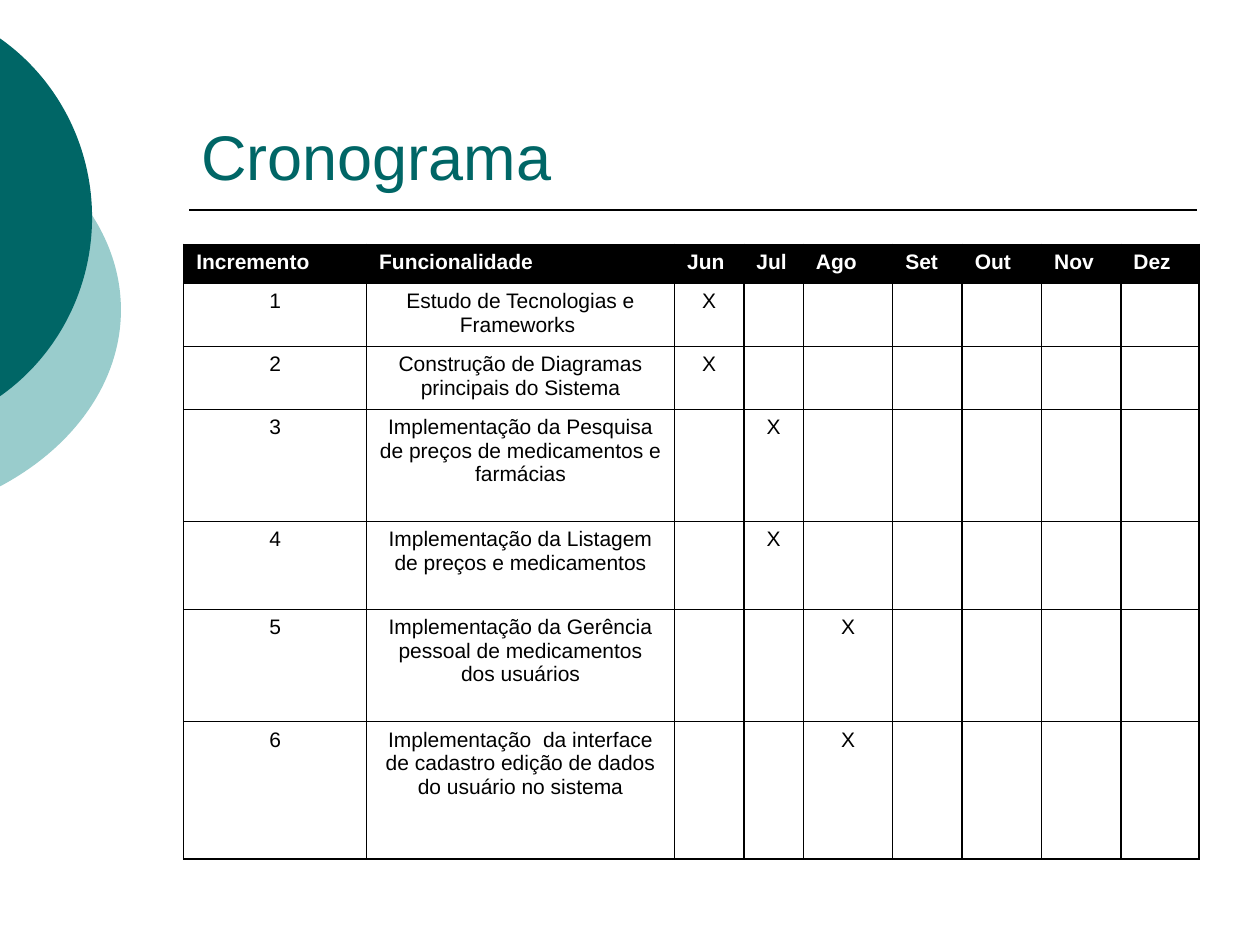
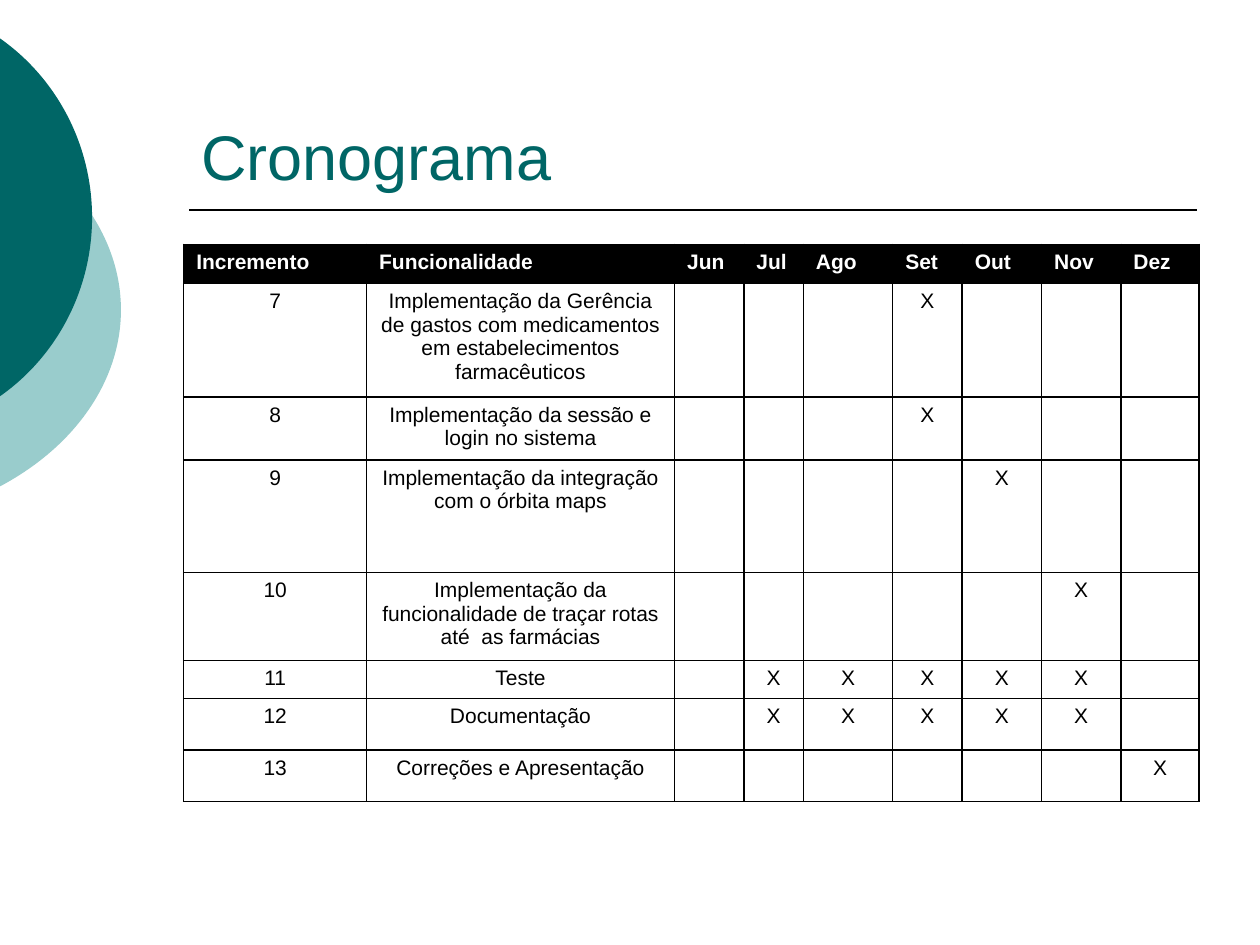
"""Build the two schedule slides of the project plan."""
from lxml.etree import SubElement
from pptx import Presentation
from pptx.dml.color import RGBColor
from pptx.enum.shapes import MSO_CONNECTOR, MSO_SHAPE
from pptx.enum.text import MSO_ANCHOR, PP_ALIGN
from pptx.oxml.ns import qn
from pptx.util import Pt

TEAL = RGBColor(0x00, 0x66, 0x66)
AQUA = RGBColor(0x99, 0xCC, 0xCC)
BLACK = RGBColor(0x00, 0x00, 0x00)
WHITE = RGBColor(0xFF, 0xFF, 0xFF)
FONT = "Arial"

MONTHS = ["Jun", "Jul", "Ago", "Set", "Out", "Nov", "Dez"]
HEADS = ["Incremento", "Funcionalidade"] + MONTHS
WIDTHS = [104.5, 176, 39.6, 34, 51.1, 39.7, 45.4, 45.3, 44.8]
HEAD_H = 22.3

DISCS = [
    (AQUA, -254.9, 54, 324, 246.2),
    (TEAL, -190.8, 0, 243.4, 248.4),
]

PLANS = [
    [
        (36, "Estudo de Tecnologias e Frameworks ", ["Jun"]),
        (36, "Construção de Diagramas principais do Sistema", ["Jun"]),
        (64, "Implementação da Pesquisa de preços de medicamentos e farmácias", ["Jul"]),
        (50.2, "Implementação da Listagem de preços e medicamentos", ["Jul"]),
        (64.2, "Implementação da Gerência pessoal de medicamentos dos usuários", ["Ago"]),
        (78.6, "Implementação  da interface de cadastro edição de dados do usuário no sistema", ["Ago"]),
    ],
    [
        (36, "Implementação da Gerência de gastos com medicamentos em estabelecimentos farmacêuticos", ["Set"]),
        (36, "Implementação da sessão e login no sistema", ["Set"]),
        (64.2, "Implementação da integração com o órbita maps", ["Out"]),
        (36, "Implementação da funcionalidade de traçar rotas até  as farmácias", ["Nov"]),
        (20.2, "Teste", MONTHS[1:6]),
        (29.5, "Documentação", MONTHS[1:6]),
        (29.5, "Correções e Apresentação", ["Dez"]),
    ],
]


def add_text(para, text, size, color, bold=False):
    run = para.add_run()
    run.text = text
    run.font.name = FONT
    run.font.size = Pt(size)
    run.font.bold = bold
    run.font.color.rgb = color


def fill_cell(cell, text, head):
    props = cell._tc.get_or_add_tcPr()
    for side in ("lnL", "lnR", "lnT", "lnB"):
        line = SubElement(props, qn("a:" + side), w=str(Pt(1)))
        paint = SubElement(line, qn("a:solidFill"))
        SubElement(paint, qn("a:srgbClr"), val=str(BLACK))
    cell.fill.solid()
    cell.fill.fore_color.rgb = BLACK if head else WHITE
    para = cell.text_frame.paragraphs[0]
    para.alignment = PP_ALIGN.LEFT if head else PP_ALIGN.CENTER
    if text:
        add_text(para, text, 12, WHITE if head else BLACK, head)
    else:
        SubElement(para._p, qn("a:endParaRPr"), sz="1200")


deck = Presentation()
deck.slide_width, deck.slide_height = Pt(720), Pt(540)
first = 1

for plan in PLANS:
    slide = deck.slides.add_slide(deck.slide_layouts[6])

    for color, left, top, width, height in DISCS:
        disc = slide.shapes.add_shape(
            MSO_SHAPE.OVAL, Pt(left), Pt(top), Pt(width), Pt(height))
        disc.shadow.inherit = False
        disc.fill.solid()
        disc.fill.fore_color.rgb = color
        disc.line.fill.background()

    rule = slide.shapes.add_connector(
        MSO_CONNECTOR.STRAIGHT, Pt(108), Pt(120), Pt(684), Pt(120))
    rule.line.color.rgb = BLACK
    rule.line.width = Pt(1)
    SubElement(rule._element.spPr, qn("a:effectLst"))

    title = slide.shapes.add_textbox(Pt(108), Pt(24), Pt(576), Pt(90))
    frame = title.text_frame
    frame.word_wrap = True
    frame.vertical_anchor = MSO_ANCHOR.BOTTOM
    add_text(frame.paragraphs[0], "Cronograma", 36, TEAL)

    heights = [HEAD_H] + [row[0] for row in plan]
    table = slide.shapes.add_table(
        len(heights), len(HEADS), Pt(105), Pt(139.7),
        Pt(sum(WIDTHS)), Pt(sum(heights))).table
    table.horz_banding = False
    for column, width in zip(table.columns, WIDTHS):
        column.width = Pt(width)
    for row, height in zip(table.rows, heights):
        row.height = Pt(height)

    grid = [HEADS]
    for number, (height, task, active) in enumerate(plan, first):
        marks = ["X" if month in active else "" for month in MONTHS]
        grid.append([str(number), task] + marks)
    first += len(plan)
    for r, texts in enumerate(grid):
        for c, text in enumerate(texts):
            fill_cell(table.cell(r, c), text, r == 0)

deck.save("out.pptx")
